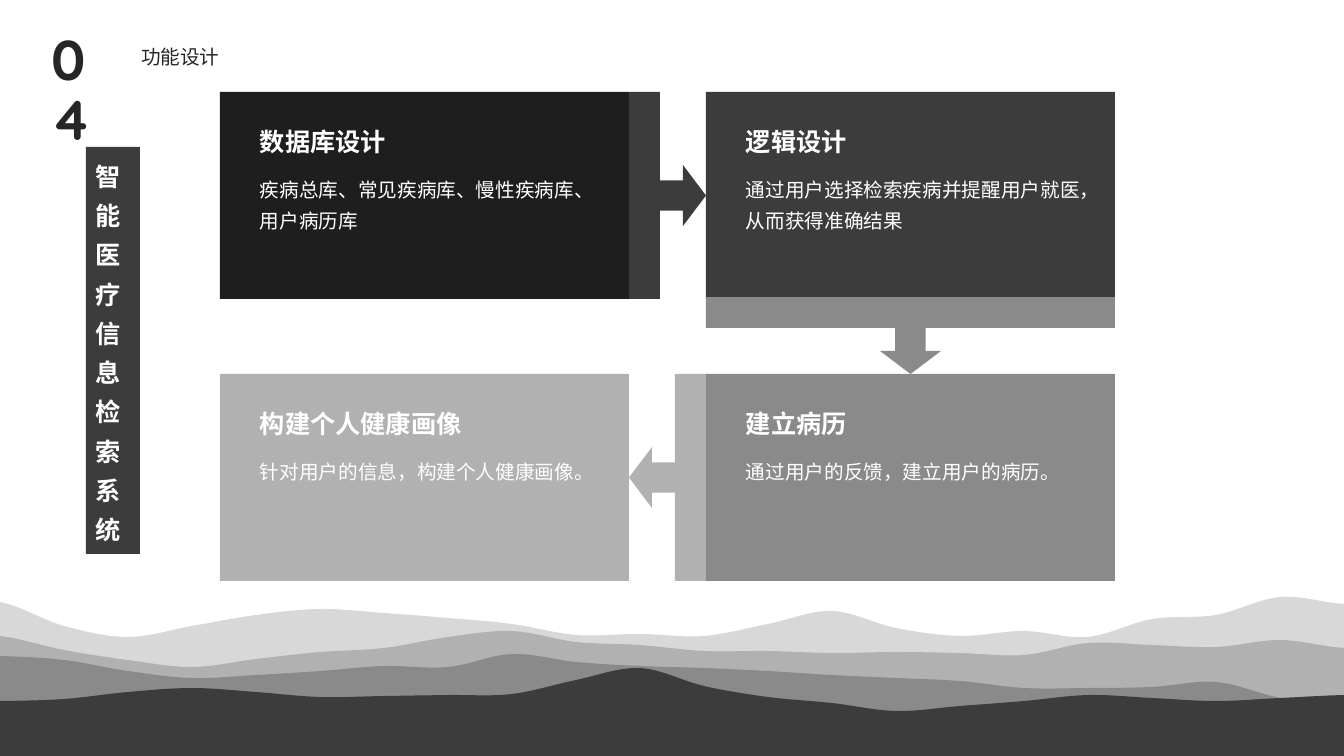
"""Build the function design slide: four linked cards above a range of hills."""
import dataclasses

import pptx
import pptx.dml.color
import pptx.enum.shapes
import pptx.enum.text
import pptx.util

SHAPES = pptx.enum.shapes.MSO_SHAPE
ANCHOR = pptx.enum.text.MSO_ANCHOR
EMU_PER_PX = 914400 / 100.8
SLIDE_W, SLIDE_H = 1344, 756
CARD_W, CARD_H = 409, 207
LEFT, RIGHT, UPPER, LOWER = 220, 706, 92, 374
BAR, ARROW_LEN, ARROW_SPAN = 31, 46, 61
RIDGE_STEP, CURVE_STEPS = 64, 8

INK, BLACK, DARK, MID, PALE, MIST, WHITE = (
    "262626", "1E1E1E", "3C3C3C", "8A8A8A", "B1B1B1", "D8D8D8", "FFFFFF")
HEAD_FONT, BODY_FONT = "Quicksand", "Noto Sans CJK SC"

Point = tuple[float, float]


@dataclasses.dataclass
class Hill:
    color: str
    floor: int
    ridge: list[int]


@dataclasses.dataclass
class Card:
    x: int
    y: int
    color: str
    title: str
    body: str


@dataclasses.dataclass
class Block:
    kind: SHAPES
    x: int
    y: int
    w: int
    h: int
    color: str


HILLS = [
    Hill(MIST, 668, [602, 626, 637, 626, 615, 609, 613, 618, 624, 635, 634,
                     636, 624, 611, 628, 636, 631, 637, 619, 615, 597, 604]),
    Hill(PALE, 698, [636, 650, 660, 667, 659, 652, 648, 637, 631, 642, 645,
                     651, 651, 653, 652, 653, 655, 643, 645, 647, 640, 648]),
    Hill(MID, 713, [656, 660, 671, 678, 675, 671, 666, 667, 654, 662, 666,
                    668, 671, 675, 678, 681, 688, 688, 687, 682, 698, 708]),
    Hill(DARK, SLIDE_H, [701, 699, 692, 688, 692, 697, 696, 695, 694, 680, 668,
                         686, 697, 703, 711, 706, 701, 695, 698, 701, 698, 695]),
]

CARDS = [
    Card(LEFT, UPPER, BLACK, "数据库设计", "疾病总库、常见疾病库、慢性疾病库、用户病历库"),
    Card(RIGHT, UPPER, DARK, "逻辑设计", "通过用户选择检索疾病并提醒用户就医，\n从而获得准确结果"),
    Card(RIGHT, LOWER, MID, "建立病历", "通过用户的反馈，建立用户的病历。"),
    Card(LEFT, LOWER, PALE, "构建个人健康画像", "针对用户的信息，构建个人健康画像。"),
]

BAR_X = LEFT + CARD_W
BAR_Y = LOWER - ARROW_LEN - BAR
ARROW_DY = (CARD_H - ARROW_SPAN) // 2
ARROW_DX = (CARD_W - ARROW_SPAN) // 2
FLOW = [
    Block(SHAPES.RECTANGLE, BAR_X, UPPER, BAR, CARD_H, DARK),
    Block(SHAPES.RIGHT_ARROW, BAR_X + BAR, UPPER + ARROW_DY, ARROW_LEN, ARROW_SPAN, DARK),
    Block(SHAPES.RECTANGLE, RIGHT, BAR_Y, CARD_W, BAR, MID),
    Block(SHAPES.DOWN_ARROW, RIGHT + ARROW_DX, BAR_Y + BAR, ARROW_SPAN, ARROW_LEN, MID),
    Block(SHAPES.RECTANGLE, RIGHT - BAR, LOWER, BAR, CARD_H, PALE),
    Block(SHAPES.LEFT_ARROW, BAR_X, LOWER + ARROW_DY, ARROW_LEN, ARROW_SPAN, PALE),
]


def px(value: float) -> pptx.util.Emu:
    """Turn pixels into EMU."""
    return pptx.util.Emu(round(value * EMU_PER_PX))


def rgb(color: str) -> pptx.dml.color.RGBColor:
    """Turn a hex string into a colour."""
    return pptx.dml.color.RGBColor.from_string(color)


def paint(sp, color: str) -> None:
    """Give a shape a flat fill with no line or shadow."""
    sp.fill.solid()
    sp.fill.fore_color.rgb = rgb(color)
    sp.line.fill.background()
    sp.shadow.inherit = False


def write(sp, text: str, size: int, color: str = WHITE, font: str = HEAD_FONT,
          bold: bool = False, spacing: float = 1.3, before: int = 0,
          wrap: bool = True, anchor: ANCHOR = ANCHOR.TOP) -> None:
    """Put left-aligned text in a shape."""
    tf = sp.text_frame
    tf.text = text
    tf.auto_size = pptx.enum.text.MSO_AUTO_SIZE.NONE
    tf.word_wrap = wrap
    tf.vertical_anchor = anchor
    for p in tf.paragraphs:
        p.alignment = pptx.enum.text.PP_ALIGN.LEFT
        p.line_spacing = spacing
        p.space_before = pptx.util.Pt(before)
        p.font.name = font
        p.font.size = pptx.util.Pt(size)
        p.font.bold = bold
        p.font.color.rgb = rgb(color)


def place(sp, x: int, y: int, w: int, h: int) -> None:
    """Move and size a placeholder."""
    sp.left, sp.top, sp.width, sp.height = px(x), px(y), px(w), px(h)


def smooth(heights: list[int]) -> list[Point]:
    """Return points on a smooth curve through evenly spaced heights."""
    padded = [heights[0], *heights, heights[-1]]
    points = [(0, heights[0])]
    for i, (before, a, b, after) in enumerate(zip(padded, padded[1:], padded[2:], padded[3:])):
        for step in range(1, CURVE_STEPS + 1):
            t = step / CURVE_STEPS
            ease = t * t * (3 - 2 * t)
            bend = t * (1 - t) * ((1 - t) * (b - before) - t * (after - a)) / 2
            points.append(((i + t) * RIDGE_STEP, a + ease * (b - a) + bend))
    return points


def add_hill(shapes, hill: Hill) -> None:
    """Draw one hill from its ridge down to its floor."""
    outline = smooth(hill.ridge) + [(SLIDE_W, hill.floor), (0, hill.floor)]
    points = [(px(x), px(y)) for x, y in outline]
    fb = shapes.build_freeform(*points[0])
    fb.add_line_segments(points[1:], close=True)
    paint(fb.convert_to_shape(), hill.color)


def add_block(shapes, block: Block):
    """Draw one flat preset shape."""
    sp = shapes.add_shape(block.kind, px(block.x), px(block.y), px(block.w), px(block.h))
    paint(sp, block.color)
    return sp


def add_card(shapes, card: Card) -> None:
    """Draw one card with its title and body."""
    add_block(shapes, Block(SHAPES.RECTANGLE, card.x, card.y, CARD_W, CARD_H, card.color))
    body = shapes.add_textbox(px(card.x + 30), px(card.y + 74), px(363), px(72))
    write(body, card.body, 14, font=BODY_FONT)
    title = shapes.add_textbox(px(card.x + 30), px(card.y + 20), px(224), px(46))
    write(title, card.title, 18, bold=True, wrap=False)


prs = pptx.Presentation()
prs.slide_width, prs.slide_height = px(SLIDE_W), px(SLIDE_H)
slide = prs.slides.add_slide(prs.slide_layouts[2])
title, number = slide.placeholders
place(title, 131, 40, 206, 37)
write(title, "功能设计", 14, INK, spacing=0.9, before=10, anchor=ANCHOR.MIDDLE)
place(number, 41, 27, 89, 65)
write(number, "04", 40, INK, bold=True, spacing=0.9, before=10)

for hill in HILLS:
    add_hill(slide.shapes, hill)
for card in CARDS:
    add_card(slide.shapes, card)
for block in FLOW:
    add_block(slide.shapes, block)
banner = add_block(slide.shapes, Block(SHAPES.RECTANGLE, 86, 147, 54, 407, DARK))
write(banner, "智能医疗信息检索系统", 18, bold=True)
prs.save("out.pptx")
